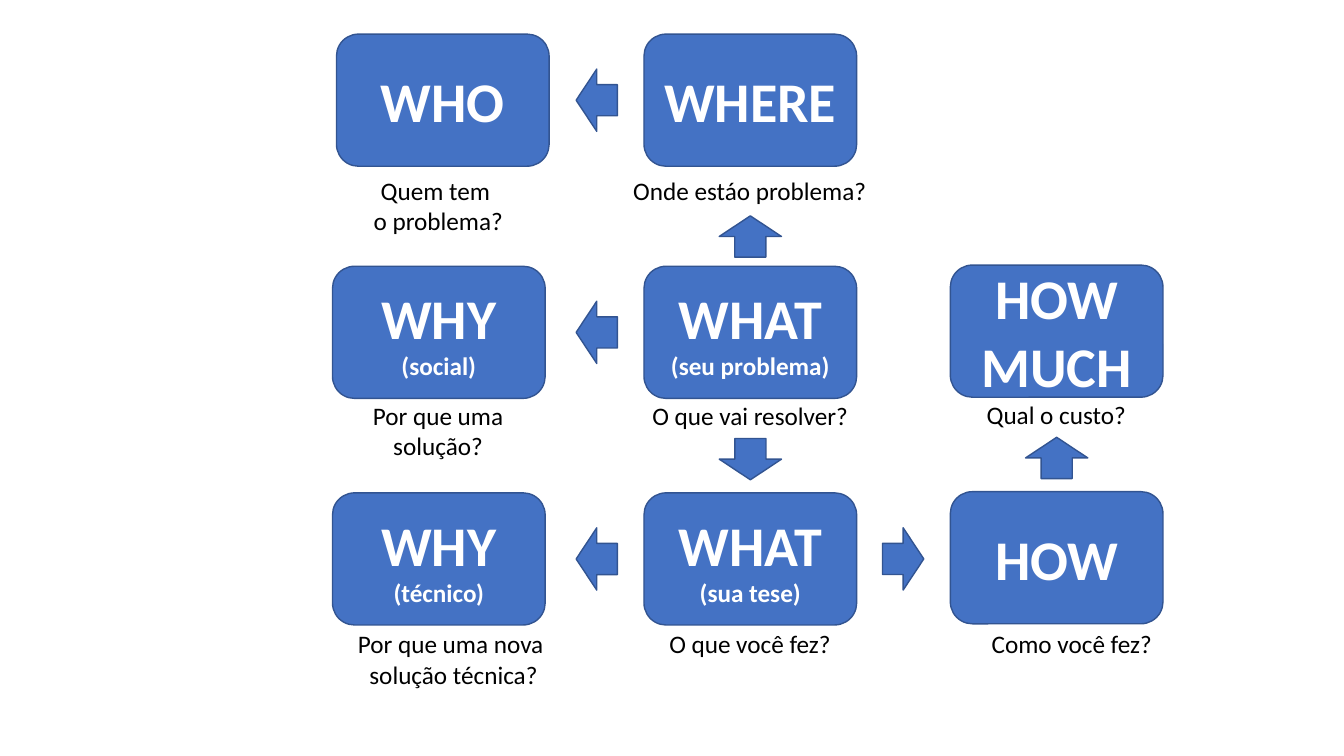
from pptx import Presentation
from pptx.dml.color import RGBColor
from pptx.enum.shapes import MSO_SHAPE as Preset
from pptx.enum.text import MSO_ANCHOR as Anchor, MSO_AUTO_SIZE as AutoSize, PP_ALIGN as Align
from pptx.util import Cm, Pt

BOX_WIDTH, BOX_HEIGHT = 5.36, 3.33
ARROW_WIDTH, ARROW_HEIGHT = 1.57, 1.04
LEFT, MIDDLE, RIGHT = 8.38, 16.23, 23.95    # left edges of the columns
TOP, CENTER, BOTTOM = 0.86, 6.71, 12.42     # top edges of the rows
MIDDLE_AXIS, RIGHT_AXIS = MIDDLE + BOX_WIDTH / 2, RIGHT + BOX_WIDTH / 2

presentation = Presentation()
presentation.slide_width, presentation.slide_height = Cm(33.87), Cm(19.05)
slide = presentation.slides.add_slide(presentation.slide_layouts[6])


def add_blue_shape(preset, left, top, width, height):
    shape = slide.shapes.add_shape(preset, Cm(left), Cm(top), Cm(width), Cm(height))
    shape.shadow.inherit = False
    shape.fill.solid()
    shape.fill.fore_color.rgb = RGBColor.from_string("4472C4")
    shape.line.color.rgb = RGBColor.from_string("325491")
    shape.line.width = Pt(1)
    return shape


def format_paragraph(paragraph, size, color, bold):
    paragraph.alignment = Align.CENTER
    for run in paragraph.runs:
        run.font.name = "Calibri"
        run.font.size = Pt(size)
        run.font.bold = bold
        run.font.color.rgb = RGBColor.from_string(color)


# Question boxes: a large word and, in some, a small second line
boxes = [
    (LEFT + 0.1, TOP, "WHO"),
    (MIDDLE, TOP, "WHERE"),
    (LEFT, CENTER, "WHY\n(social)"),
    (MIDDLE, CENTER, "WHAT\n(seu problema)"),
    (RIGHT, CENTER - 0.03, "HOW\vMUCH"),
    (LEFT, BOTTOM, "WHY\n(técnico)"),
    (MIDDLE, BOTTOM, "WHAT\n(sua tese)"),
    (RIGHT, BOTTOM - 0.03, "HOW"),
]
for left, top, text in boxes:
    box = add_blue_shape(Preset.ROUNDED_RECTANGLE, left, top, BOX_WIDTH, BOX_HEIGHT)
    box.text_frame.text = text
    box.text_frame.word_wrap = True
    box.text_frame.vertical_anchor = Anchor.MIDDLE
    for index, paragraph in enumerate(box.text_frame.paragraphs):
        format_paragraph(paragraph, 18 if index else 40, "FFFFFF", True)

# Captions below the boxes: left, top, width, height
captions = [
    (9.14, 4.29, 3.81, 1.8, "Quem tem \no problema?"),
    (15.67, 4.29, 6.45, 1.02, "Onde estáo problema?"),
    (9.12, 9.96, 3.84, 1.8, "Por que uma\vsolução?"),
    (16.15, 9.96, 5.51, 1.02, "O que vai resolver?"),
    (24.59, 9.93, 4.06, 1.02, "Qual o custo?"),
    (8.74, 15.72, 5.38, 1.8, "Por que uma nova \vsolução técnica?"),
    (16.59, 15.72, 4.62, 1.02, "O que você fez?"),
    (24.71, 15.7, 4.6, 1.02, "Como você fez?"),
]
for left, top, width, height, text in captions:
    caption = slide.shapes.add_textbox(Cm(left), Cm(top), Cm(width), Cm(height))
    caption.text_frame.text = text
    caption.text_frame.word_wrap = False
    caption.text_frame.auto_size = AutoSize.SHAPE_TO_FIT_TEXT
    for paragraph in caption.text_frame.paragraphs:
        format_paragraph(paragraph, 18, "000000", False)

# Arrows between the boxes: center and clockwise turn
left_gap, right_gap = 15.04, 22.76
arrows = [(left_gap, row + BOX_HEIGHT / 2, 270) for row in (TOP, CENTER, BOTTOM)]
arrows += [
    (right_gap, BOTTOM + BOX_HEIGHT / 2, 90),
    (MIDDLE_AXIS, 5.96, 0),
    (MIDDLE_AXIS, 11.57, 180),
    (RIGHT_AXIS, 11.54, 0),
]
for center_x, center_y, turn in arrows:
    arrow = add_blue_shape(Preset.UP_ARROW, center_x - ARROW_WIDTH / 2,
                           center_y - ARROW_HEIGHT / 2, ARROW_WIDTH, ARROW_HEIGHT)
    arrow.rotation = turn

presentation.save("out.pptx")
